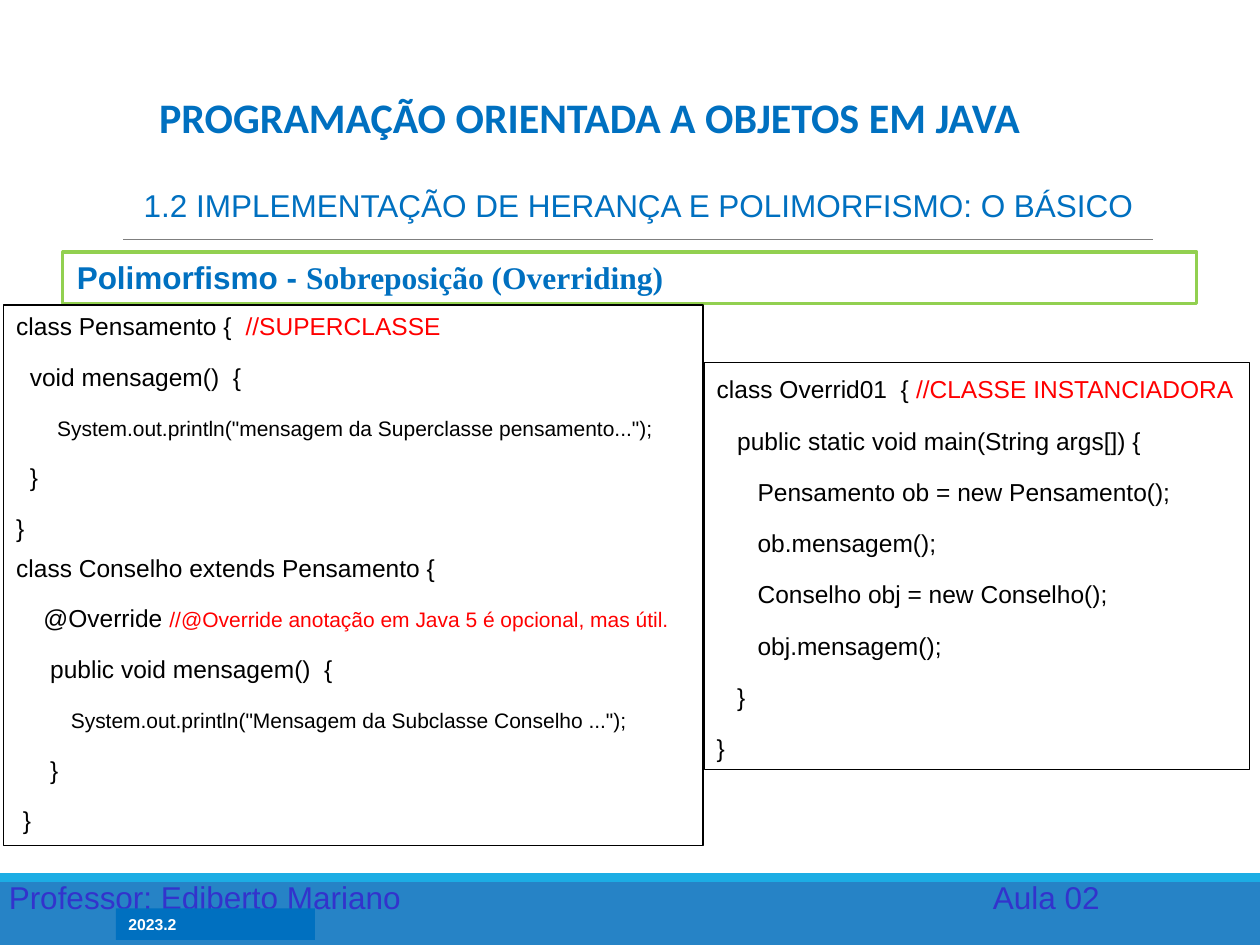
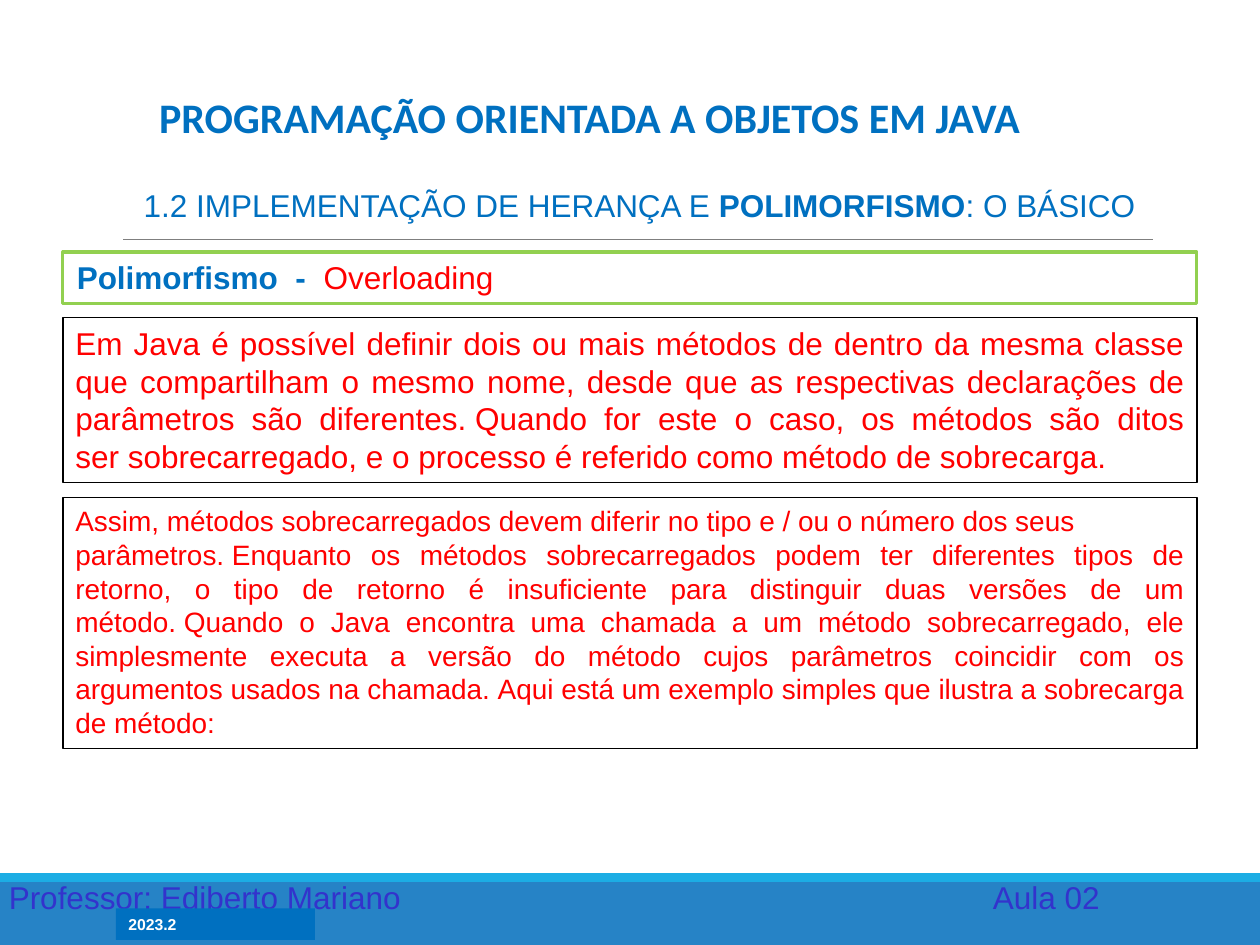
from dataclasses import dataclass
from lxml import etree
from pptx import Presentation
from pptx.dml.color import RGBColor
from pptx.enum.shapes import MSO_CONNECTOR, MSO_SHAPE
from pptx.enum.text import MSO_ANCHOR as ANCHOR, MSO_AUTO_SIZE, PP_ALIGN as ALIGN
from pptx.oxml.ns import qn
from pptx.util import Inches, Pt


@dataclass(frozen=True)
class Theme:
    blue: str = "0070C0"
    band: str = "2683C6"
    stripe: str = "1CADE4"
    green: str = "92D050"
    rule: str = "7F7F7F"
    footer: str = "3333CC"
    red: str = "FF0000"
    black: str = "000000"
    white: str = "FFFFFF"
    sans: str = "Arial"
    serif: str = "Times New Roman"
    title_font: str = "Calibri"
    title: int = 24
    body: int = 18
    detail: int = 16
    code: int = 14
    print_call: int = 12
    term: int = 9


theme = Theme()


def add_box(slide, at, fill=None, line=None, weight=0.75, anchor=ANCHOR.TOP):
    box = slide.shapes.add_shape(MSO_SHAPE.RECTANGLE, *map(Inches, at))
    box.shadow.inherit = False
    if fill:
        box.fill.solid()
        box.fill.fore_color.rgb = RGBColor.from_string(fill)
    else:
        box.fill.background()
    if line:
        box.line.color.rgb = RGBColor.from_string(line)
        box.line.width = Pt(weight)
    else:
        box.line.fill.background()
    frame = box.text_frame
    frame.word_wrap = True
    frame.auto_size = MSO_AUTO_SIZE.NONE
    frame.vertical_anchor = anchor
    return frame


def write(paragraph, runs, size, color, bold=False, font=theme.sans, align=ALIGN.LEFT):
    paragraph.alignment = align
    base = paragraph.font
    base.name, base.size, base.bold = font, Pt(size), bold
    base.color.rgb = RGBColor.from_string(color)
    for text, changes in runs:
        run = paragraph.add_run()
        run.text = text
        for key, value in changes.items():
            if key == "color":
                run.font.color.rgb = RGBColor.from_string(value)
            else:
                setattr(run.font, key, value)


red = {"color": theme.red}
small = {"size": Pt(theme.print_call)}
nbsp = chr(160)

thought_and_advice = [
    [("class Pensamento {  ", {}), ("//SUPERCLASSE", red)],
    [("  void mensagem()  {", {})],
    [("      ", {}), ('System.out.println("mensagem da Superclasse pensamento...");', small)],
    [("  }", {})],
    [("}", {})],
    [("class Conselho extends Pensamento {", {})],
    [("    @Override ", {}),
     ("//@Override anotação em Java 5 é opcional, mas útil.", {**red, **small})],
    [("     public void mensagem()  {", {})],
    [("        ", {}), ('System.out.println("Mensagem da Subclasse Conselho ...");', small)],
    [("     }", {})],
    [(" }", {})],
]
instantiator = [
    [("class Overrid01  {", {}), (" //CLASSE INSTANCIADORA", red)],
    [("   public static void main(String args[]) {", {})],
    [("      Pensamento ob = new Pensamento();", {})],
    [("      ob.mensagem();", {})],
    [("      Conselho obj = new Conselho();", {})],
    [("      obj.mensagem();", {})],
    [("   }", {})],
    [("}", {})],
]
definition = [[(
    "Em Java é possível definir dois ou mais métodos de dentro da mesma classe que "
    "compartilham o mesmo nome, desde que as respectivas declarações de parâmetros são "
    f"diferentes.{nbsp}Quando for este o caso, os métodos são ditos "
    f"ser{nbsp}sobrecarregado,{nbsp}e o processo é referido "
    f"como{nbsp}método de sobrecarga.", {})]]
overload_rules = [
    [(f"Assim,{nbsp}métodos sobrecarregados devem diferir no tipo e / ou "
      "o número dos seus", {})],
    [(f"parâmetros.{nbsp}Enquanto os métodos sobrecarregados podem ter diferentes tipos de "
      "retorno, o tipo de retorno é insuficiente para distinguir duas versões de um "
      f"método.{nbsp}Quando o Java encontra uma chamada a um método sobrecarregado, ele "
      "simplesmente executa a versão do método cujos parâmetros coincidir com os "
      f"argumentos usados na chamada.{nbsp}Aqui está um exemplo simples que ilustra a "
      "sobrecarga de método:", {})],
]

code = {"size": theme.code, "color": theme.black}
prose = {"color": theme.red, "align": ALIGN.JUSTIFY}
lessons = [
    {
        "topic": [("1.2 IMPLEMENTAÇÃO DE HERANÇA E POLIMORFISMO: O BÁSICO", {})],
        "heading": [("Polimorfismo - ", {}),
                    ("Sobreposição (Overriding)", {"name": theme.serif})],
        "panels": [
            ((0.03, 2.42, 5.55, 4.29), ANCHOR.TOP, thought_and_advice, code, (6, 6, 1)),
            ((5.59, 2.88, 4.33, 3.23), ANCHOR.MIDDLE, instantiator, code, (0, 10, 1.15)),
        ],
    },
    {
        "topic": [("1.2 IMPLEMENTAÇÃO DE HERANÇA E ", {}),
                  ("POLIMORFISMO", {"bold": True}), (": O BÁSICO", {})],
        "heading": [("Polimorfismo  -  ", {}), ("Overloading", {**red, "bold": False})],
        "panels": [
            ((0.5, 2.52, 9, 1.31), ANCHOR.TOP, definition,
             {"size": theme.body, **prose}, (0, 0, 1)),
            ((0.5, 3.95, 9, 1.99), ANCHOR.TOP, overload_rules,
             {"size": theme.detail, **prose}, (0, 0, 1)),
        ],
    },
]

prs = Presentation()
prs.slide_width, prs.slide_height = Inches(10), Inches(7.5)
title_only = prs.slide_layouts[5]

for lesson in lessons:
    slide = prs.slides.add_slide(title_only)

    title = slide.shapes.title
    title.left, title.top, title.width, title.height = map(Inches, (1.03, 0.66, 7.3, 0.52))
    title.text_frame.vertical_anchor = ANCHOR.BOTTOM
    title.text_frame.auto_size = MSO_AUTO_SIZE.NONE
    write(title.text_frame.paragraphs[0], [("PROGRAMAÇÃO ORIENTADA A OBJETOS EM JAVA", {})],
          theme.title, theme.blue, True, theme.title_font, ALIGN.CENTER)

    add_box(slide, (0, 6.93, 10, 0.57), fill=theme.band)
    add_box(slide, (0, 6.93, 10, 0.07), fill=theme.stripe)
    rule = slide.shapes.add_connector(
        MSO_CONNECTOR.STRAIGHT, *map(Inches, (0.98, 1.9, 9.15, 1.9)))
    rule.line.color.rgb = RGBColor.from_string(theme.rule)
    rule.line.width = Pt(0.5)
    etree.SubElement(rule._element.spPr, qn("a:effectLst"))

    footer = add_box(slide, (0, 6.92, 9, 0.4))
    footer.margin_left = Inches(0.07)
    credit = footer.paragraphs[0]
    tabs = etree.SubElement(credit._p.get_or_add_pPr(), qn("a:tabLst"))
    etree.SubElement(tabs, qn("a:tab"), pos=str(Inches(7.81)), algn="l")
    write(credit, [("Professor: Ediberto Mariano\tAula 02", {})], theme.body, theme.footer)

    term = add_box(slide, (0.92, 7.21, 1.58, 0.25), fill=theme.blue)
    write(term.paragraphs[0], [("2023.2", {})], theme.term, theme.white, True)

    heading = add_box(slide, (0.5, 2, 9, 0.41), line=theme.green, weight=1.75)
    heading.margin_left = Inches(0.11)
    write(heading.paragraphs[0], lesson["heading"], theme.body, theme.blue, True)

    topic = add_box(slide, (1.03, 1.43, 8.67, 0.41))
    topic.margin_left = Inches(0.11)
    write(topic.paragraphs[0], lesson["topic"], theme.body, theme.blue, align=ALIGN.JUSTIFY)

    for at, anchor, lines, style, (before, after, spacing) in lesson["panels"]:
        panel = add_box(slide, at, line=theme.black, anchor=anchor)
        for index, runs in enumerate(lines):
            paragraph = panel.add_paragraph() if index else panel.paragraphs[0]
            paragraph.space_before = Pt(before if index else 0)
            paragraph.space_after = Pt(0 if runs[0][0] == "}" and before else after)
            paragraph.line_spacing = spacing
            write(paragraph, runs, **style)

prs.save("out.pptx")
